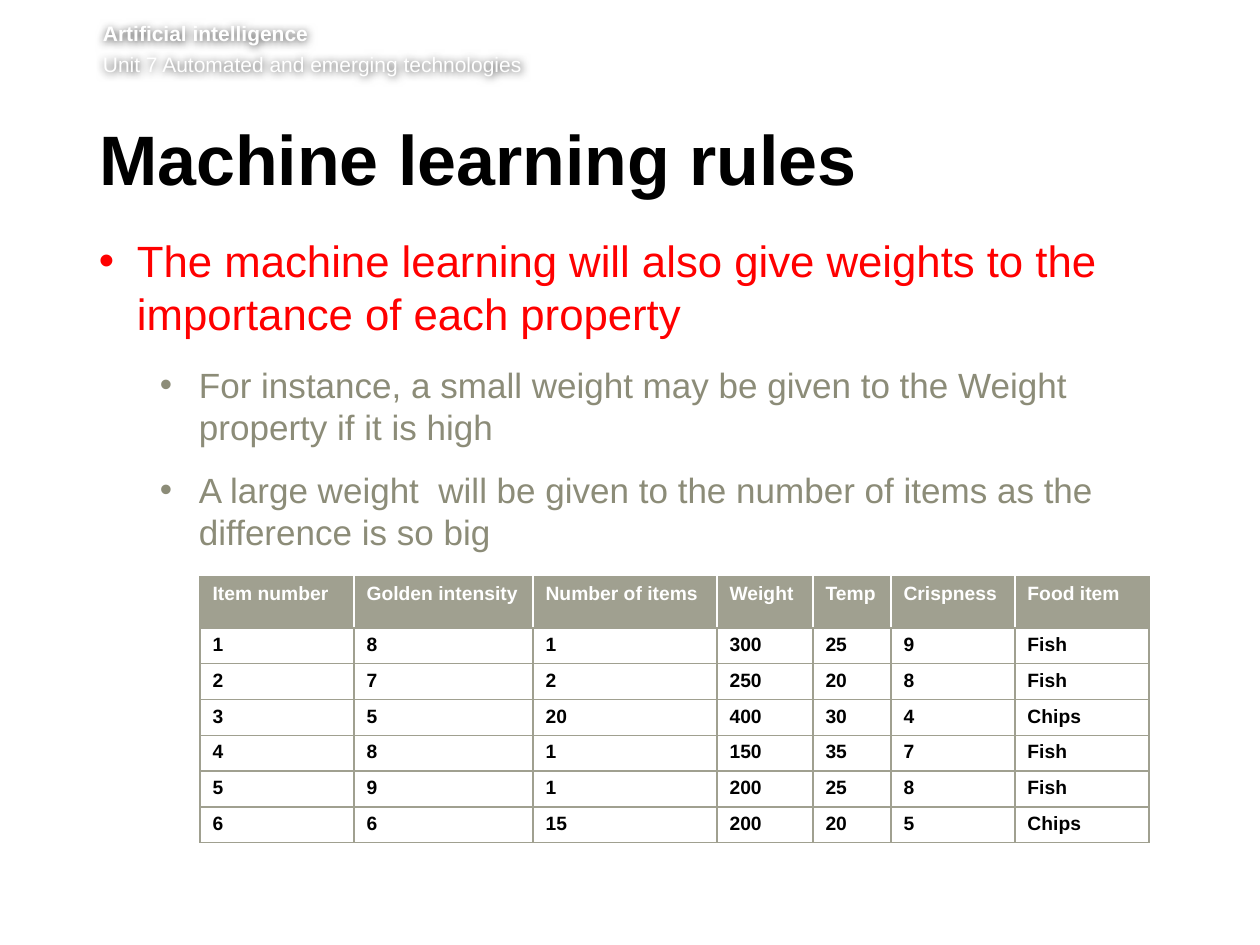
import pptx
import pptx.dml.color
import pptx.enum.text
import pptx.oxml
import pptx.oxml.ns
import pptx.util

PX = 914400 // 126
FONT = "Arial"
WHITE = pptx.dml.color.RGBColor(0xFF, 0xFF, 0xFF)
BLACK = pptx.dml.color.RGBColor(0, 0, 0)
RED = pptx.dml.color.RGBColor(0xFF, 0, 0)
OLIVE = pptx.dml.color.RGBColor(0x8C, 0x8C, 0x78)
SAGE = pptx.dml.color.RGBColor(0xA0, 0xA0, 0x90)

COLUMNS = [154, 179, 184, 96, 78, 124, 134]
HEADER_HEIGHT = 51
ROW_HEIGHT = 34
ROWS = [
    ["Item number", "Golden intensity", "Number of items", "Weight", "Temp", "Crispness", "Food item"],
    ["1", "8", "1", "300", "25", "9", "Fish"],
    ["2", "7", "2", "250", "20", "8", "Fish"],
    ["3", "5", "20", "400", "30", "4", "Chips"],
    ["4", "8", "1", "150", "35", "7", "Fish"],
    ["5", "9", "1", "200", "25", "8", "Fish"],
    ["6", "6", "15", "200", "20", "5", "Chips"],
]
BULLETS = [
    ("The machine learning will also give weights to the importance of each property", 0, 25, RED, 14),
    ("For instance, a small weight may be given to the Weight property if it is high", 1, 20, OLIVE, 12),
    ("A large weight  will be given to the number of items as the difference is so big", 1, 20, OLIVE, 12),
]
INDENTS = [(38, -38), (100, -39)]


def add_xml(parent, markup):
    """Append a DrawingML element to a parent element."""
    head, mark, tail = markup.partition(" ")
    namespace = pptx.oxml.ns.nsdecls("a")
    parent.append(pptx.oxml.parse_xml(f"{head} {namespace} {tail}"))


def add_span(para, text, size, color, bold=False):
    """Add one formatted run."""
    span = para.add_run()
    span.text = text
    span.font.name = FONT
    span.font.size = pptx.util.Pt(size)
    span.font.bold = bold
    span.font.color.rgb = color
    return span


def add_box(page, left, top, width, height, margins):
    """Add a wrapping text box with margins in left, top, right, bottom order."""
    box = page.shapes.add_textbox(left * PX, top * PX, width * PX, height * PX)
    frame = box.text_frame
    frame.word_wrap = True
    frame.margin_left, frame.margin_top, frame.margin_right, frame.margin_bottom = (
        margin * PX for margin in margins)
    return box


def add_heading(page):
    """Add the shadowed unit heading."""
    box = add_box(page, 103, 21, 1111, 62, (0, 0, 0, 6))
    add_xml(box._element.spPr,
            '<a:effectLst ><a:outerShdw blurRad="63500" dist="0" dir="0" algn="ctr" rotWithShape="0">'
            '<a:srgbClr val="000000"><a:alpha val="75000"/></a:srgbClr></a:outerShdw></a:effectLst>')
    first = box.text_frame.paragraphs[0]
    add_span(first, "Artificial intelligence", 12, WHITE, True)
    second = box.text_frame.add_paragraph()
    second.space_before = pptx.util.Pt(2.9)
    add_span(second, "Unit 7 Automated and emerging technologies", 12, WHITE)


def add_title(page):
    """Add the slide title."""
    box = add_box(page, 99, 125, 1077, 92, (0, 6, 13, 6))
    para = box.text_frame.paragraphs[0]
    para.line_spacing = pptx.util.Pt(39)
    add_span(para, "Machine learning rules", 40, BLACK, True)


def add_bullets(page):
    """Add the two-level bullet list."""
    box = add_box(page, 99, 234, 1075, 476, (0, 0, 13, 6))
    for index, (text, level, size, color, after) in enumerate(BULLETS):
        para = box.text_frame.add_paragraph() if index else box.text_frame.paragraphs[0]
        para.level = level
        para.space_after = pptx.util.Pt(after)
        properties = para._p.get_or_add_pPr()
        margin, indent = INDENTS[level]
        properties.set("marL", str(margin * PX))
        properties.set("indent", str(indent * PX))
        add_xml(properties, f'<a:buFont typeface="{FONT}"/>')
        add_xml(properties, '<a:buChar char="•"/>')
        add_span(para, text, size, color)


def style_cell(cell, text, header, first, last):
    """Fill, border and label one table cell."""
    inner = WHITE if header else SAGE
    borders = {"lnL": SAGE if first else inner, "lnR": SAGE if last else inner, "lnT": SAGE, "lnB": SAGE}
    properties = cell._tc.get_or_add_tcPr()
    for side, color in borders.items():
        add_xml(properties, f'<a:{side} w="12700"><a:solidFill><a:srgbClr val="{color}"/>'
                            f'</a:solidFill></a:{side}>')
    if header:
        cell.fill.solid()
        cell.fill.fore_color.rgb = SAGE
    else:
        cell.fill.background()
    add_span(cell.text_frame.paragraphs[0], text, 11, WHITE if header else BLACK, True)


def add_data_table(page):
    """Add the table of food properties."""
    heights = [HEADER_HEIGHT] + [ROW_HEIGHT] * (len(ROWS) - 1)
    table = page.shapes.add_table(len(ROWS), len(COLUMNS), 200 * PX, 577 * PX,
                                  sum(COLUMNS) * PX, sum(heights) * PX).table
    for column, width in zip(table.columns, COLUMNS):
        column.width = width * PX
    for row, height, texts in zip(table.rows, heights, ROWS):
        row.height = height * PX
        for index, text in enumerate(texts):
            style_cell(row.cells[index], text, texts is ROWS[0], index == 0, index == len(texts) - 1)


def main():
    """Build and save the slide."""
    deck = pptx.Presentation()
    deck.slide_width = 1260 * PX
    deck.slide_height = 945 * PX
    page = deck.slides.add_slide(deck.slide_layouts[6])
    add_heading(page)
    add_title(page)
    add_bullets(page)
    add_data_table(page)
    deck.save("out.pptx")


if __name__ == "__main__":
    main()
